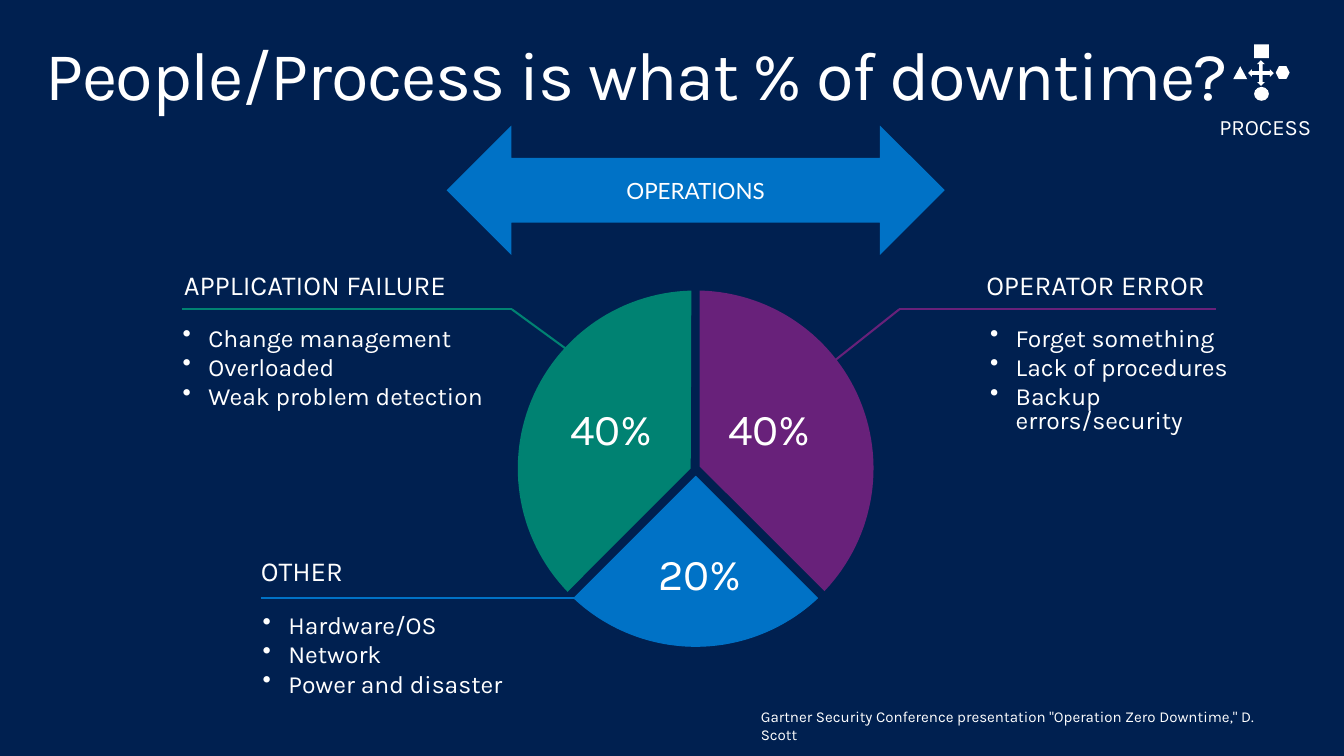
"""Build the slide on the share of downtime caused by people and process."""
import itertools
import math
from dataclasses import dataclass

import pptx
import pptx.dml.color
import pptx.enum.shapes
import pptx.enum.text
import pptx.oxml.ns
import pptx.util
from lxml import etree
from pptx.util import Inches

COLOURS = {"navy": "002050", "white": "FFFFFF", "green": "008272",
           "blue": "0072C6", "purple": "68217A"}
PIE_CENTRE = (7.04, 4.74)
PIE_RADIUS = 1.8
ARC_STEPS = 60
LABEL_INSETS = (0.2, 0.16, 0.2, 0.16)
BODY_INSETS = (0.1, 0.05, 0.1, 0.05)
SHAPES = pptx.enum.shapes.MSO_SHAPE
ANCHOR = pptx.enum.text.MSO_ANCHOR
ALIGN = pptx.enum.text.PP_ALIGN
FIT = pptx.enum.text.MSO_AUTO_SIZE

Point = tuple[float, float]
Bounds = tuple[float, float, float, float]


@dataclass
class Cause:
    """One cause of downtime: its pie slice, leader line and texts."""
    heading: str
    heading_at: Bounds
    share: str
    share_at: Point
    points: list[str]
    points_at: Bounds
    colour: str
    tip: Point
    angles: tuple[float, float]
    leader: list[Point]
    outlined: bool = False


@dataclass
class IconPart:
    """One preset shape of the process icon."""
    shape: pptx.enum.shapes.MSO_SHAPE
    bounds: Bounds
    adjustments: tuple[float, ...] = ()


CAUSES = [
    Cause("APPLICATION FAILURE", (1.66, 2.6, 3.17, 0.63), "40%", (5.57, 3.96),
          ["Change management", "Overloaded", "Weak problem detection"],
          (1.75, 3.27, 3.29, 0.95), "green", (6.99, 4.74), (91.4, 223.9),
          [(1.84, 3.13), (5.18, 3.13), (5.81, 3.59)]),
    Cause("OTHER", (2.44, 5.49, 1.26, 0.63), "20%", (6.46, 5.43),
          ["Hardware/OS", "Network", "Power and disaster"],
          (2.56, 6.18, 3.46, 0.95), "blue", (7.04, 4.82), (226.8, 313.2),
          [(2.64, 6.05), (6.3, 6.05)], outlined=True),
    Cause("OPERATOR ERROR", (9.78, 2.6, 2.69, 0.63), "40%", (7.17, 3.96),
          ["Forget something", "Lack of procedures", "Backup errors/security"],
          (9.92, 3.27, 2.91, 0.95), "purple", (7.08, 4.72), (316.4, 448.7),
          [(12.3, 3.13), (9.1, 3.13), (8.42, 3.67)]),
]

ICON = [
    IconPart(SHAPES.RECTANGLE, (12.69, 0.45, 0.15, 0.14)),
    IconPart(SHAPES.OVAL, (12.69, 0.88, 0.15, 0.14)),
    IconPart(SHAPES.ISOSCELES_TRIANGLE, (12.48, 0.67, 0.14, 0.13)),
    IconPart(SHAPES.HEXAGON, (12.91, 0.67, 0.14, 0.13)),
    IconPart(SHAPES.QUAD_ARROW, (12.63, 0.61, 0.26, 0.26), (0.14, 0.15, 0.15)),
]


def rgb(name: str) -> pptx.dml.color.RGBColor:
    """Return the named colour."""
    return pptx.dml.color.RGBColor.from_string(COLOURS[name])


def paint(shape, colour: str, outlined: bool = False) -> None:
    """Fill a shape, outlining it in the same colour on request."""
    shape.shadow.inherit = False
    shape.fill.solid()
    shape.fill.fore_color.rgb = rgb(colour)
    if outlined:
        shape.line.color.rgb = rgb(colour)
        shape.line.width = pptx.util.Pt(0.75)
    else:
        shape.line.fill.background()


def add_span(para, text: str, size: float, font: str = "Karla"):
    """Add a white run to a paragraph."""
    span = para.add_run()
    span.text = text
    span.font.size = pptx.util.Pt(size)
    span.font.name = font
    span.font.color.rgb = rgb("white")
    return span


def set_frame(frame, insets: Bounds, wrap: bool = True, fit=FIT.SHAPE_TO_FIT_TEXT,
              anchor=ANCHOR.TOP) -> None:
    """Set insets, wrapping, fitting and anchoring of a text frame."""
    sides = [Inches(inset) for inset in insets]
    frame.margin_left, frame.margin_top, frame.margin_right, frame.margin_bottom = sides
    frame.word_wrap = wrap
    frame.auto_size = fit
    frame.vertical_anchor = anchor


def add_box(page, bounds: Bounds):
    """Add an empty text box and return it."""
    return page.shapes.add_textbox(*map(Inches, bounds))


def add_label(page, bounds: Bounds, text: str, size: float) -> None:
    """Add a one-line label that does not wrap."""
    box = add_box(page, bounds)
    set_frame(box.text_frame, LABEL_INSETS, wrap=False)
    para = box.text_frame.paragraphs[0]
    para.line_spacing = 0.9
    para.space_after = pptx.util.Pt(6)
    add_span(para, text, size)


def add_bullets(page, bounds: Bounds, points: list[str]) -> None:
    """Add a bulleted list."""
    box = add_box(page, bounds)
    frame = box.text_frame
    set_frame(frame, BODY_INSETS)
    for index, point in enumerate(points):
        para = frame.add_paragraph() if index else frame.paragraphs[0]
        properties = para._p.get_or_add_pPr()
        properties.set("marL", str(Inches(0.26)))
        properties.set("indent", str(-Inches(0.26)))
        etree.SubElement(properties, pptx.oxml.ns.qn("a:buChar")).set("char", "•")
        para.line_spacing = 0.8
        if index:
            para.space_before = pptx.util.Pt(4)
        add_span(para, point, 18)


def add_slice(page, cause: Cause) -> None:
    """Draw a pie slice from its tip around its arc."""
    first, last = cause.angles
    arc = []
    for step in range(ARC_STEPS + 1):
        angle = math.radians(first + (last - first) * step / ARC_STEPS)
        arc.append((Inches(PIE_CENTRE[0] + PIE_RADIUS * math.cos(angle)),
                    Inches(PIE_CENTRE[1] - PIE_RADIUS * math.sin(angle))))
    builder = page.shapes.build_freeform(*map(Inches, cause.tip))
    builder.add_line_segments(arc, close=True)
    paint(builder.convert_to_shape(), cause.colour, cause.outlined)


def add_leader(page, points: list[Point], colour: str) -> None:
    """Draw the straight parts of a leader line."""
    for start, end in itertools.pairwise(points):
        line = page.shapes.add_connector(pptx.enum.shapes.MSO_CONNECTOR.STRAIGHT,
                                         *map(Inches, start + end))
        line.line.color.rgb = rgb(colour)
        line.line.width = pptx.util.Pt(1.5)
        etree.SubElement(line._element.spPr, pptx.oxml.ns.qn("a:effectLst"))


def add_cause(page, cause: Cause) -> None:
    """Draw everything that belongs to one cause."""
    add_slice(page, cause)
    add_leader(page, cause.leader, cause.colour)
    add_label(page, cause.share_at + (1.26, 0.81), cause.share, 32)
    add_label(page, cause.heading_at, cause.heading, 20)
    add_bullets(page, cause.points_at, cause.points)


def add_title(page) -> None:
    """Place and format the title."""
    title = page.shapes.title
    title.left, title.top, title.width, title.height = map(Inches, (0.3, 0.32, 13, 1))
    set_frame(title.text_frame, (0.16, 0.1, 0.16, 0.1), fit=FIT.NONE)
    para = title.text_frame.paragraphs[0]
    para.alignment = ALIGN.LEFT
    para.line_spacing = 0.9
    span = add_span(para, "People/Process is what % of downtime?", 50)
    span._r.get_or_add_rPr().set("spc", "-100")


def add_operations_arrow(page) -> None:
    """Add the double arrow with its caption."""
    arrow = page.shapes.add_shape(SHAPES.LEFT_RIGHT_ARROW,
                                  *map(Inches, (4.52, 1.27, 5.04, 1.31)))
    paint(arrow, "blue")
    set_frame(arrow.text_frame, BODY_INSETS, fit=FIT.NONE, anchor=ANCHOR.MIDDLE)
    para = arrow.text_frame.paragraphs[0]
    para.alignment = ALIGN.CENTER
    add_span(para, "OPERATIONS", 16.3, "Lato")


def add_process_icon(page) -> None:
    """Add the process icon and its caption."""
    box = add_box(page, (12.06, 0.37, 1.41, 1.1))
    set_frame(box.text_frame, (0.1, 0.02, 0.02, 0.05), fit=FIT.NONE, anchor=ANCHOR.BOTTOM)
    para = box.text_frame.paragraphs[0]
    para.alignment = ALIGN.CENTER
    para.line_spacing = 0.9
    add_span(para, "PROCESS", 16)
    for part in ICON:
        shape = page.shapes.add_shape(part.shape, *map(Inches, part.bounds))
        for index, value in enumerate(part.adjustments):
            shape.adjustments[index] = value
        paint(shape, "white")


def add_credit(page) -> None:
    """Add the source line."""
    box = add_box(page, (7.6, 7.11, 5.41, 0.29))
    set_frame(box.text_frame, BODY_INSETS)
    add_span(box.text_frame.paragraphs[0],
             'Gartner Security Conference presentation "Operation Zero Downtime," D. Scott', 11)


def main() -> None:
    """Build and save the deck."""
    deck = pptx.Presentation()
    deck.slide_width, deck.slide_height = Inches(13.6), Inches(7.65)
    page = deck.slides.add_slide(deck.slide_layouts[5])
    page.background.fill.solid()
    page.background.fill.fore_color.rgb = rgb("navy")
    add_credit(page)
    add_operations_arrow(page)
    add_title(page)
    for cause in CAUSES:
        add_cause(page, cause)
    add_process_icon(page)
    deck.save("out.pptx")


if __name__ == "__main__":
    main()
